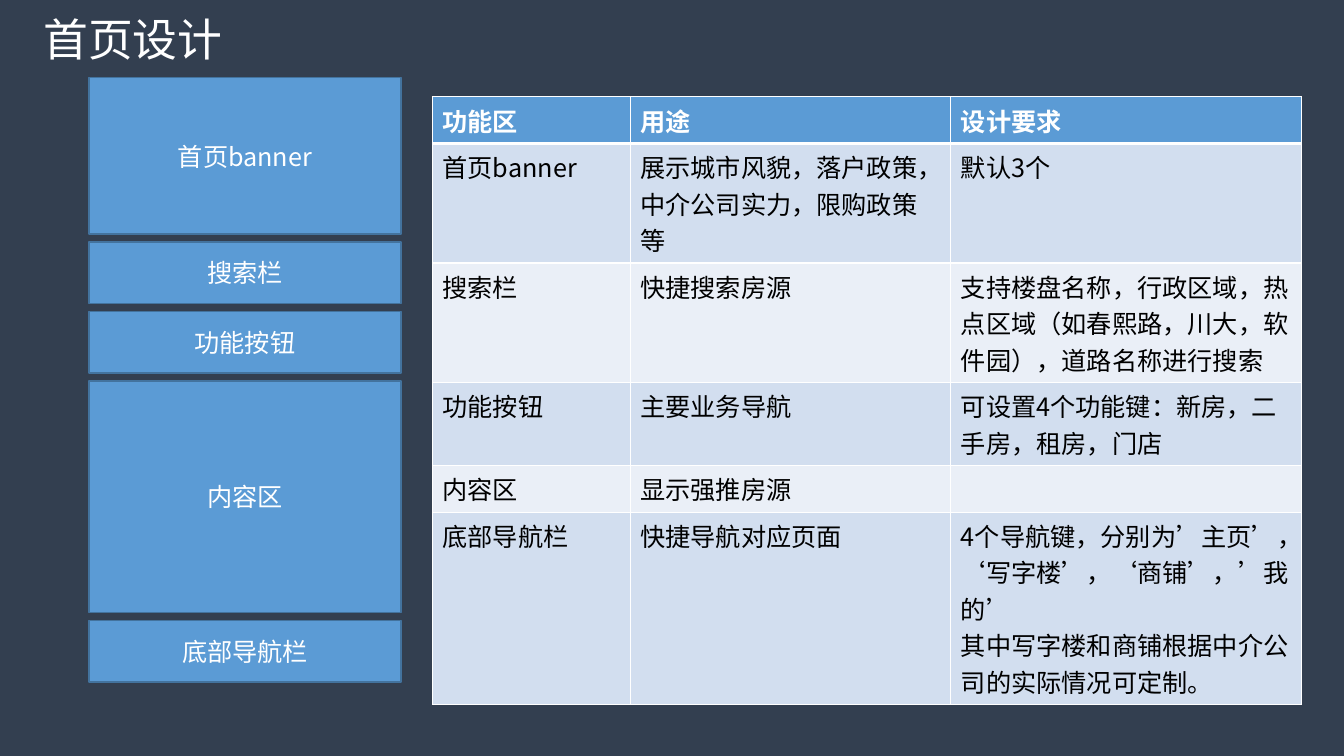
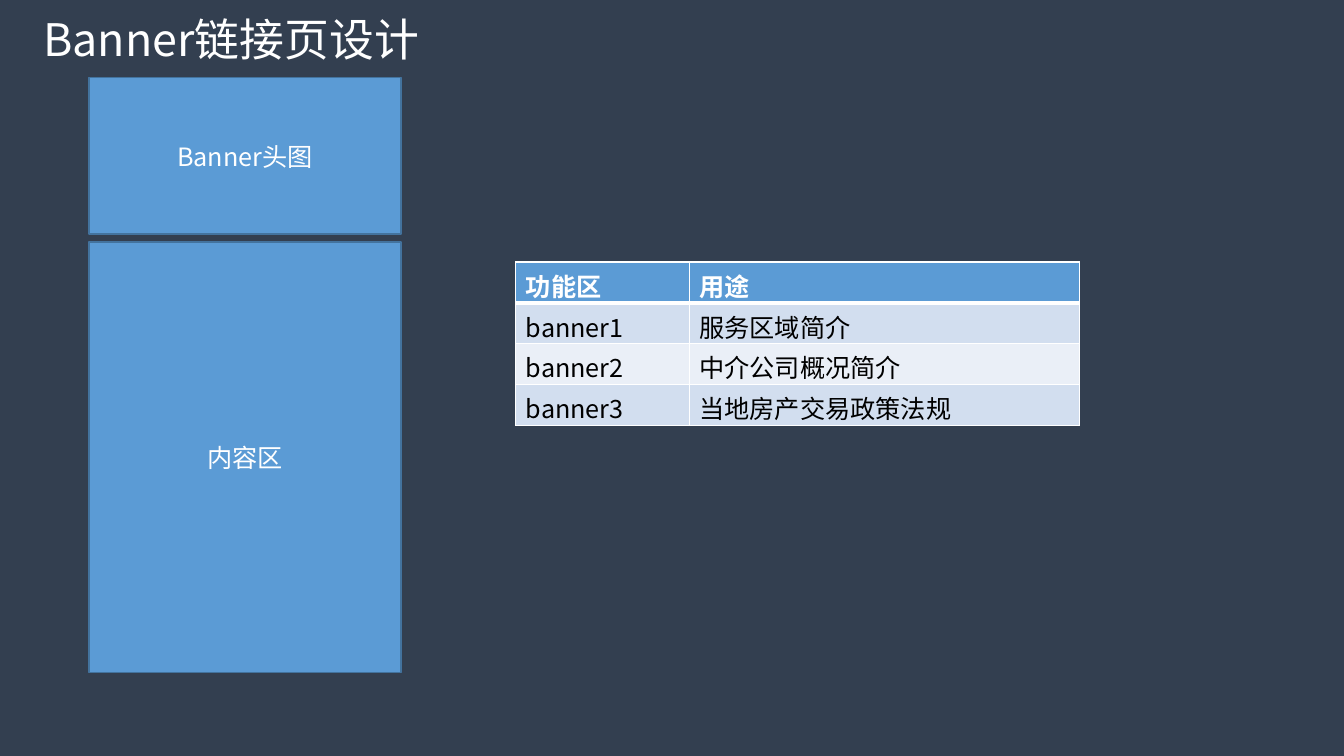
import dataclasses
import lxml.etree
import pptx
import pptx.dml.color
import pptx.enum.shapes
import pptx.enum.text
import pptx.oxml.ns
import pptx.util

Cm = pptx.util.Cm
Pt = pptx.util.Pt

SLIDES = [
    {
        "title": "首页设计",
        "blocks": [("首页banner", 3.94), ("搜索栏", 1.55), ("功能按钮", 1.55),
                   ("内容区", 5.84), ("底部导航栏", 1.55)],
        "table_at": (10.9, 2.44),
        "columns": [4.98, 8.08, 8.84],
        "rows": [
            ("功能区", "用途", "设计要求"),
            ("首页banner", "展示城市风貌，落户政策，中介公司实力，限购政策等", "默认3个"),
            ("搜索栏", "快捷搜索房源",
             "支持楼盘名称，行政区域，热点区域（如春熙路，川大，软件园），道路名称进行搜索"),
            ("功能按钮", "主要业务导航", "可设置4个功能键：新房，二手房，租房，门店"),
            ("内容区", "显示强推房源", ""),
            ("底部导航栏", "快捷导航对应页面",
             "4个导航键，分别为’主页’，‘写字楼’，‘商铺’，’我的’\n"
             "其中写字楼和商铺根据中介公司的实际情况可定制。"),
        ],
    },
    {
        "title": "Banner链接页设计",
        "blocks": [("Banner头图", 3.94), ("内容区", 10.85)],
        "table_at": (13, 6.6),
        "columns": [4.37, 9.83],
        "rows": [
            ("功能区", "用途"),
            ("banner1", "服务区域简介"),
            ("banner2", "中介公司概况简介"),
            ("banner3", "当地房产交易政策法规"),
        ],
    },
]

BLOCK_LEFT, BLOCK_TOP, BLOCK_WIDTH, BLOCK_GAP = 2.24, 1.96, 7.87, 0.2
ROW_HEIGHT = 1.03


@dataclasses.dataclass(frozen=True)
class Theme:
    font: str = "Noto Sans CJK SC"
    background: str = "333F50"
    accent: str = "5B9BD5"
    outline: str = "43739E"
    light: str = "FFFFFF"
    dark: str = "000000"
    bands: tuple = ("D2DEEF", "EAEFF7")
    title_size: int = 32
    body_size: int = 18


THEME = Theme()


def rgb(code):
    return pptx.dml.color.RGBColor.from_string(code)


def paint(target, code):
    target.fill.solid()
    target.fill.fore_color.rgb = rgb(code)


def add_child(parent, tag, **attributes):
    return lxml.etree.SubElement(parent, pptx.oxml.ns.qn(tag), **attributes)


def write(frame, text, size, color, bold=False, align=None):
    frame.word_wrap = True
    for index, line in enumerate(text.split("\n")):
        para = frame.add_paragraph() if index else frame.paragraphs[0]
        para.alignment = align
        para.font.size = Pt(size)
        if line:
            span = para.add_run()
            span.text = line
            span.font.size = Pt(size)
            span.font.bold = bold
            span.font.color.rgb = rgb(color)
            span.font.name = THEME.font
            add_child(span.font._element, "a:ea", typeface=THEME.font)


def add_title(page, text):
    box = page.shapes.add_textbox(Cm(0.84), Cm(0.18), Cm(18.54), Cm(1.63))
    write(box.text_frame, text, THEME.title_size, THEME.light)


def add_blocks(page, blocks):
    top = BLOCK_TOP
    for label, height in blocks:
        block = page.shapes.add_shape(
            pptx.enum.shapes.MSO_SHAPE.RECTANGLE,
            Cm(BLOCK_LEFT), Cm(top), Cm(BLOCK_WIDTH), Cm(height))
        block.shadow.inherit = False
        paint(block, THEME.accent)
        block.line.color.rgb = rgb(THEME.outline)
        block.line.width = Pt(1)
        block.text_frame.vertical_anchor = pptx.enum.text.MSO_ANCHOR.MIDDLE
        write(block.text_frame, label, THEME.body_size, THEME.light,
              align=pptx.enum.text.PP_ALIGN.CENTER)
        top += height + BLOCK_GAP


def add_borders(cell, top, bottom):
    properties = cell._tc.get_or_add_tcPr()
    for side, width in (("L", 1), ("R", 1), ("T", top), ("B", bottom)):
        line = add_child(properties, "a:ln" + side, w=str(Pt(width)))
        add_child(add_child(line, "a:solidFill"), "a:srgbClr", val=THEME.light)


def add_grid(page, at, columns, rows):
    left, top = at
    table = page.shapes.add_table(
        len(rows), len(columns), Cm(left), Cm(top),
        Cm(sum(columns)), Cm(ROW_HEIGHT * len(rows))).table
    for column, width in zip(table.columns, columns):
        column.width = Cm(width)
    for row_index, row in enumerate(rows):
        header = row_index == 0
        table.rows[row_index].height = Cm(ROW_HEIGHT)
        for column_index, text in enumerate(row):
            cell = table.cell(row_index, column_index)
            add_borders(cell, 3 if row_index == 1 else 1, 3 if header else 1)
            paint(cell, THEME.accent if header else THEME.bands[(row_index - 1) % 2])
            write(cell.text_frame, text, THEME.body_size,
                  THEME.light if header else THEME.dark, bold=header)


deck = pptx.Presentation()
deck.slide_width, deck.slide_height = Cm(33.87), Cm(19.05)
for content in SLIDES:
    page = deck.slides.add_slide(deck.slide_layouts[6])
    paint(page.background, THEME.background)
    add_blocks(page, content["blocks"])
    add_grid(page, content["table_at"], content["columns"], content["rows"])
    add_title(page, content["title"])
deck.save("out.pptx")
